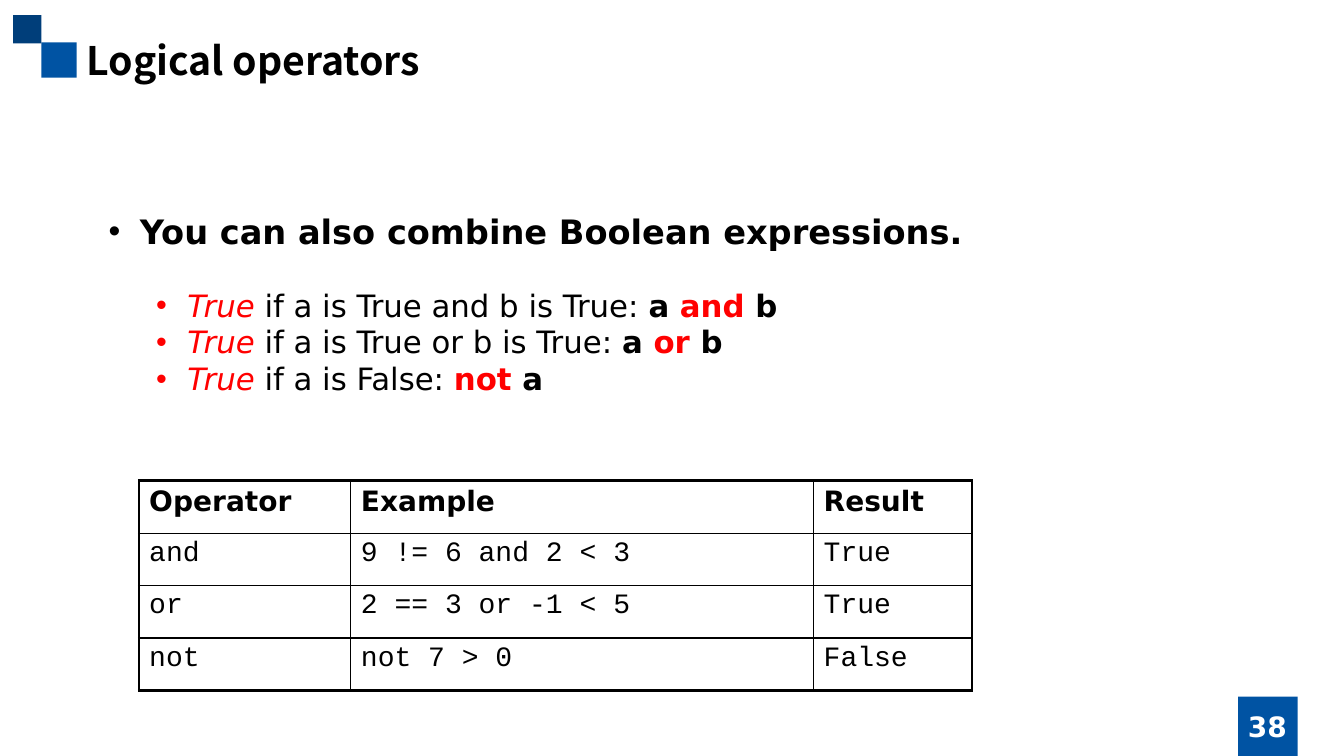
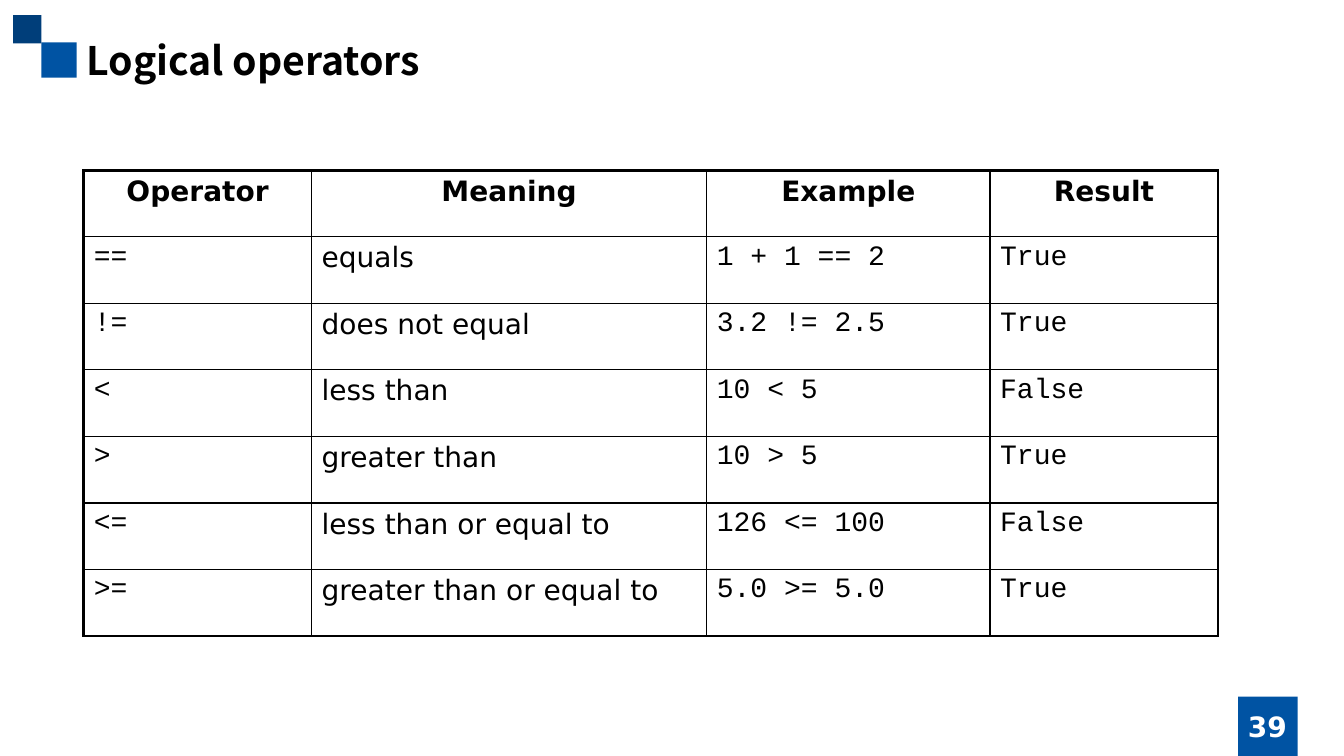
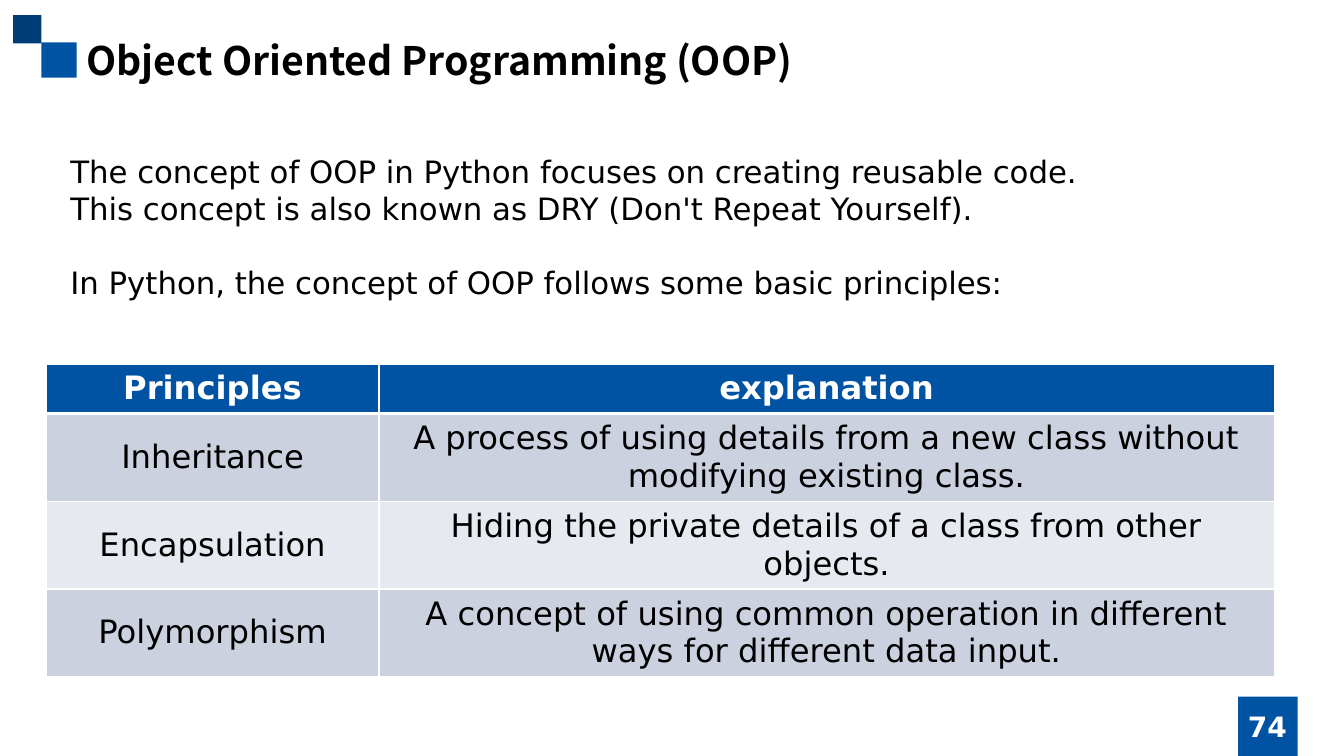
from dataclasses import dataclass, field

from lxml import etree
from pptx import Presentation
from pptx import util as u
from pptx.dml import color
from pptx.enum import shapes, text
from pptx.oxml import ns

PX = 9144


def px(n):
    return u.Emu(n * PX)


@dataclass
class Theme:
    blue: str = "0053A3"
    navy: str = "003E7A"
    black: str = "000000"
    white: str = "FFFFFF"
    red: str = "FF0000"
    bands: tuple = ("CCD1E0", "E7E9F0")
    sans: str = "DejaVu Sans"
    mono: str = "Courier New"
    heading: str = "Noto Sans CJK SC"
    styles: dict = field(init=False)

    def __post_init__(self):
        def style(size, name=self.sans, rgb=self.black, bold=False, italic=False):
            return dict(size=u.Pt(size), name=name, rgb=rgb, bold=bold, italic=italic)

        self.styles = {
            "title": style(28, self.heading, bold=True),
            "number": style(20, rgb=self.white, bold=True),
            "lead": style(24, bold=True),
            "body": style(22),
            "strong": style(22, bold=True),
            "keyword": style(22, rgb=self.red, bold=True),
            "value": style(22, rgb=self.red, italic=True),
            "head": style(20, bold=True),
            "cell": style(20),
            "code": style(20, self.mono),
            "band_head": style(23, rgb=self.white, bold=True),
            "band_cell": style(23),
        }


class Deck:
    def __init__(self, theme):
        self.theme = theme
        self.prs = Presentation()
        self.prs.slide_width, self.prs.slide_height = px(1333), px(750)
        self.s = None

    def slide(self, title, title_width, number):
        self.s = self.prs.slides.add_slide(self.prs.slide_layouts[6])
        t = self.theme
        self.square(41, 42, 35, t.blue)
        self.square(13, 15, 28, t.navy)
        self.square(1228, 691, 59, t.blue)
        self.text((76, 31, title_width, 57), [[(title, "title")]],
                  margin_top=0, margin_bottom=0,
                  vertical_anchor=text.MSO_ANCHOR.MIDDLE)
        self.text((1181, 701, 152, 40), [[(str(number), "number")]],
                  align=text.PP_ALIGN.CENTER,
                  vertical_anchor=text.MSO_ANCHOR.MIDDLE)

    def square(self, x, y, side, fill):
        sp = self.s.shapes.add_shape(shapes.MSO_SHAPE.RECTANGLE, *map(px, (x, y, side, side)))
        sp.shadow.inherit = False
        sp.fill.solid()
        sp.fill.fore_color.rgb = color.RGBColor.from_string(fill)
        sp.line.fill.background()

    def runs(self, p, parts):
        for words, style in parts:
            r = p.add_run()
            r.text = words
            for key, value in self.theme.styles[style].items():
                if key == "rgb":
                    r.font.color.rgb = color.RGBColor.from_string(value)
                else:
                    setattr(r.font, key, value)

    def bullet(self, p, rgb):
        pPr = p._p.get_or_add_pPr()
        pPr.set("marL", str(px(31)))
        pPr.set("indent", str(px(-31)))
        clr = etree.SubElement(pPr, ns.qn("a:buClr"))
        etree.SubElement(clr, ns.qn("a:srgbClr"), val=rgb)
        etree.SubElement(pPr, ns.qn("a:buFont"), typeface="Arial")
        etree.SubElement(pPr, ns.qn("a:buChar"), char="•")

    def text(self, at, paragraphs, align=None, bullet=None, gaps=None, **frame):
        tf = self.s.shapes.add_textbox(*map(px, at)).text_frame
        for key, value in {"word_wrap": True, **frame}.items():
            setattr(tf, key, value)
        for i, parts in enumerate(paragraphs):
            p = tf.add_paragraph() if i else tf.paragraphs[0]
            if bullet:
                self.bullet(p, bullet)
            if align is not None:
                p.alignment = align
            if gaps and i in gaps:
                p.space_before = u.Pt(gaps[i])
            self.runs(p, parts)

    def borders(self, cell, rgb, widths):
        tcPr = cell._tc.get_or_add_tcPr()
        for side, width in widths.items():
            ln = etree.SubElement(tcPr, ns.qn(f"a:ln{side}"), w=str(u.Pt(width)))
            fill = etree.SubElement(ln, ns.qn("a:solidFill"))
            etree.SubElement(fill, ns.qn("a:srgbClr"), val=rgb)

    def table(self, x, y, cols, heights, rows, styles, head="head", head_align=None,
              outer=2.25, rule=1, banded=False):
        t = self.theme
        gf = self.s.shapes.add_table(len(rows), len(cols),
                                     *map(px, (x, y, sum(cols), sum(heights))))
        tbl = gf.table
        tbl.first_row = tbl.horz_banding = False
        for col, width in zip(tbl.columns, cols):
            col.width = px(width)
        for row, height in zip(tbl.rows, heights):
            row.height = px(height)
        last_row, last_col = len(rows) - 1, len(cols) - 1
        for i, row in enumerate(rows):
            for j, words in enumerate(row):
                cell = tbl.cell(i, j)
                self.borders(cell, t.white if banded else t.black, {
                    "L": 1 if j else outer,
                    "R": 1 if j < last_col else outer,
                    "T": outer if i == 0 else rule if i == 1 else 1,
                    "B": rule if i == 0 else 1 if i < last_row else outer,
                })
                if banded:
                    cell.fill.solid()
                    fill = t.bands[(i - 1) % 2] if i else t.blue
                    cell.fill.fore_color.rgb = color.RGBColor.from_string(fill)
                else:
                    cell.fill.background()
                if banded and i:
                    cell.vertical_anchor = text.MSO_ANCHOR.MIDDLE
                    for side in ("left", "top", "right", "bottom"):
                        setattr(cell, f"margin_{side}", px(5))
                p = cell.text_frame.paragraphs[0]
                if banded or (i == 0 and head_align is not None):
                    p.alignment = text.PP_ALIGN.CENTER if banded else head_align
                self.runs(p, [(words, styles[j] if i else head)])


def combining(deck):
    deck.slide("Logical operators", 507, 38)
    deck.text((98, 204, 876, 50), [[("You can also combine Boolean expressions.", "lead")]],
              bullet=deck.theme.black)
    deck.text((145, 279, 658, 121), [
        [("True ", "value"), ("if a is True and b is True: ", "body"),
         ("a ", "strong"), ("and", "keyword"), (" b", "strong")],
        [("True ", "value"), ("if a is True or b is True: ", "body"),
         ("a ", "strong"), ("or", "keyword"), (" b", "strong")],
        [("True ", "value"), ("if a is False: ", "body"),
         ("not", "keyword"), (" a", "strong")],
    ], bullet=deck.theme.red)
    deck.table(138, 477, (210, 459, 157), [52] * 4, [
        ("Operator", "Example", "Result"),
        ("and", "9 != 6 and 2 < 3", "True"),
        ("or", "2 == 3 or -1 < 5", "True"),
        ("not", "not 7 > 0", "False"),
    ], ["code"] * 3)


def comparing(deck):
    deck.slide("Logical operators", 507, 39)
    deck.table(83, 169, (226, 392, 281, 226), [66] * 7, [
        ("Operator", "Meaning", "Example", "Result"),
        ("==", "equals", "1 + 1 == 2", "True"),
        ("!=", "does not equal", "3.2 != 2.5", "True"),
        ("<", "less than", "10 < 5", "False"),
        (">", "greater than", "10 > 5", "True"),
        ("<=", "less than or equal to", "126 <= 100", "False"),
        (">=", "greater than or equal to", "5.0 >= 5.0", "True"),
    ], ("code", "cell", "code", "code"), head_align=text.PP_ALIGN.CENTER)


def principles(deck):
    deck.slide("Object Oriented Programming (OOP)", 774, 74)
    deck.text((60, 147, 1043, 158), [
        [("The concept of OOP in Python focuses on creating reusable code.", "body")],
        [("This concept is also known as DRY (Don't Repeat Yourself).", "body")],
        [("In Python, the concept of OOP follows some basic principles:", "body")],
    ], gaps={2: 26})
    deck.table(46, 362, (330, 888), (47, 87, 87, 87), [
        ("Principles", "explanation"),
        ("Inheritance",
         "A process of using details from a new class without modifying existing class."),
        ("Encapsulation", "Hiding the private details of a class from other objects."),
        ("Polymorphism",
         "A concept of using common operation in different ways for different data input."),
    ], ["band_cell"] * 2, head="band_head", outer=1, rule=3, banded=True)


def main():
    deck = Deck(Theme())
    for build in (combining, comparing, principles):
        build(deck)
    deck.prs.save("out.pptx")


if __name__ == "__main__":
    main()
